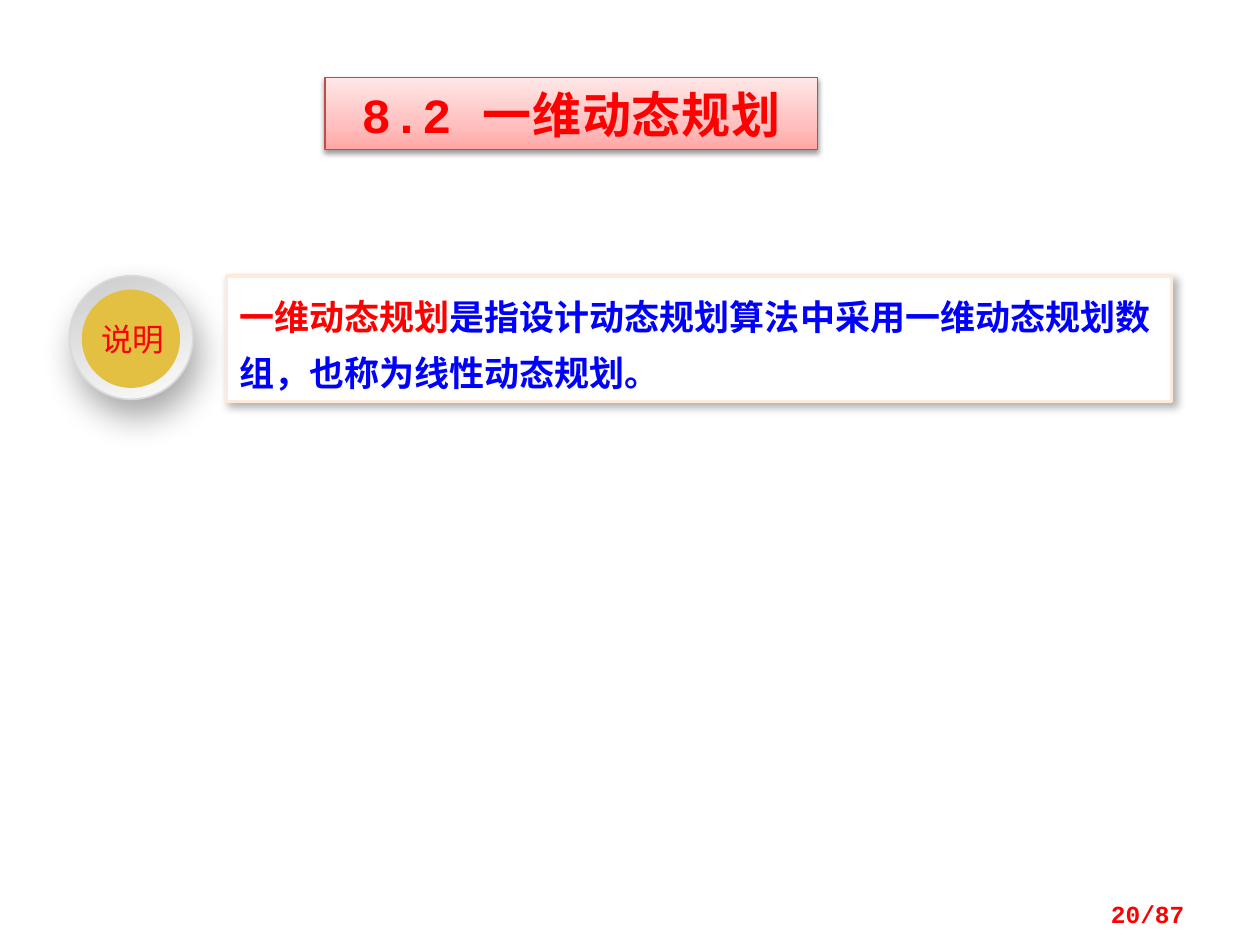
import pptx
import pptx.dml.color
import pptx.enum.shapes
import pptx.enum.text
import pptx.oxml
import pptx.oxml.ns
import pptx.util
from lxml import etree

Cm = pptx.util.Cm
Pt = pptx.util.Pt
SHAPE = pptx.enum.shapes.MSO_SHAPE
ALIGN = pptx.enum.text.PP_ALIGN
MIDDLE = pptx.enum.text.MSO_ANCHOR.MIDDLE
RED, BLUE = "FF0000", "0000FF"
CJK_FONT = "Noto Sans CJK SC"


def rgb(value):
    return pptx.dml.color.RGBColor.from_string(value)


def add_node(parent, tag, **attributes):
    node = etree.SubElement(parent, pptx.oxml.ns.qn(tag))
    for name, value in attributes.items():
        node.set(name, str(value))
    return node


def add_panel(shapes, kind, bounds, fill=None, line=None, width=0):
    panel = shapes.add_shape(kind, *[Cm(length) for length in bounds])
    panel.shadow.inherit = False
    if fill:
        panel.fill.solid()
        panel.fill.fore_color.rgb = rgb(fill)
    if line:
        panel.line.color.rgb = rgb(line)
        panel.line.width = Pt(width)
    else:
        panel.line.fill.background()
    return panel


def set_gradient(panel, stops, angle):
    """Fill with (percent, colour) stops along a clockwise angle."""
    panel.fill.gradient()
    panel.fill.gradient_angle = 360 - angle
    stop_list = panel.fill.gradient_stops[0]._gs.getparent()
    for stop in list(stop_list):
        stop_list.remove(stop)
    for percent, colour in stops:
        stop = add_node(stop_list, "a:gs", pos=percent * 1000)
        add_node(stop, "a:srgbClr", val=colour)


def set_shadow(panel, opacity, blur, distance, angle):
    effects = panel._element.spPr.find(pptx.oxml.ns.qn("a:effectLst"))
    shadow = add_node(effects, "a:outerShdw", blurRad=Pt(blur), dist=Pt(distance),
                      dir=angle * 60000, algn="ctr", rotWithShape=0)
    colour = add_node(shadow, "a:srgbClr", val="000000")
    add_node(colour, "a:alpha", val=opacity * 1000)


def add_textbox(shapes, bounds):
    return shapes.add_textbox(*[Cm(length) for length in bounds])


def write(box, spans, size, font, align, bold=False, wrap=True):
    """Fill the box with one paragraph of (text, colour) spans."""
    box.text_frame.word_wrap = wrap
    para = box.text_frame.paragraphs[0]
    para.alignment = align
    para.font.size = Pt(size)
    para.font.name = font
    para.font.bold = bold
    for text, colour in spans:
        span = para.add_run()
        span.text = text
        span.font.color.rgb = rgb(colour)
        add_node(span._r.get_or_add_rPr(), "a:ea", typeface=CJK_FONT)
    return para


def add_title(page):
    title = add_panel(page.shapes, SHAPE.RECTANGLE, (6.55, 1.57, 9.93, 1.45),
                      line="BF4C48", width=0.75)
    set_gradient(title, [(0, "FFA6A5"), (35, "FFC0BF"), (100, "FFE7E7")], 270)
    set_shadow(title, 38, 3.1, 1.6, 90)
    title.text_frame.vertical_anchor = MIDDLE
    para = write(title, [("8.2 一维动态规划", RED)], 28, "Courier New",
                 ALIGN.CENTER, bold=True)
    para.runs[0]._r.get_or_add_rPr().set("spc", "50")


def add_definition(page):
    panel = add_panel(page.shapes, SHAPE.RECTANGLE, (4.57, 5.56, 19.05, 2.54),
                      fill="FFFFFF", line="FDEADA", width=2)
    set_shadow(panel, 30, 4.5, 2.6, 53)
    panel.text_frame.vertical_anchor = pptx.enum.text.MSO_ANCHOR.TOP
    spans = [("一维动态规划", RED),
             ("是指设计动态规划算法中采用一维动态规划数组，也称为线性动态规划。", BLUE)]
    para = write(panel, spans, 20, "Times New Roman", ALIGN.LEFT, bold=True)
    para.line_spacing = Pt(32)


def add_badge(page):
    badge = page.shapes.add_group_shape()
    rim = add_panel(badge.shapes, SHAPE.OVAL, (1.4, 5.56, 2.49, 2.49),
                    line="D9D9D9", width=1)
    set_gradient(rim, [(0, "CCCCCC"), (100, "FCFCFC")], 70)
    set_shadow(rim, 34, 20, 10, 70)
    add_panel(badge.shapes, SHAPE.OVAL, (1.65, 5.84, 1.98, 1.98), fill="E3BF42")
    label = add_textbox(badge.shapes, (1.78, 6.48, 1.8, 0.86))
    frame = label.text_frame
    frame.margin_left = frame.margin_right = frame.margin_top = frame.margin_bottom = 0
    frame.vertical_anchor = MIDDLE
    para = write(label, [("说明", RED)], 18, CJK_FONT, ALIGN.CENTER, wrap=False)
    para.line_spacing = 0.8


def add_page_number(page):
    box = add_textbox(page.shapes, (18.21, 17.91, 5.92, 1.02))
    box.text_frame.vertical_anchor = MIDDLE
    write(box, [("20/87", RED)], 14, "Courier New", ALIGN.RIGHT, bold=True)


def main():
    deck = pptx.Presentation()
    deck.slide_width, deck.slide_height = Cm(25.4), Cm(19.05)
    page = deck.slides.add_slide(deck.slide_layouts[6])
    add_title(page)
    add_definition(page)
    add_page_number(page)
    add_badge(page)
    deck.save("out.pptx")


if __name__ == "__main__":
    main()
